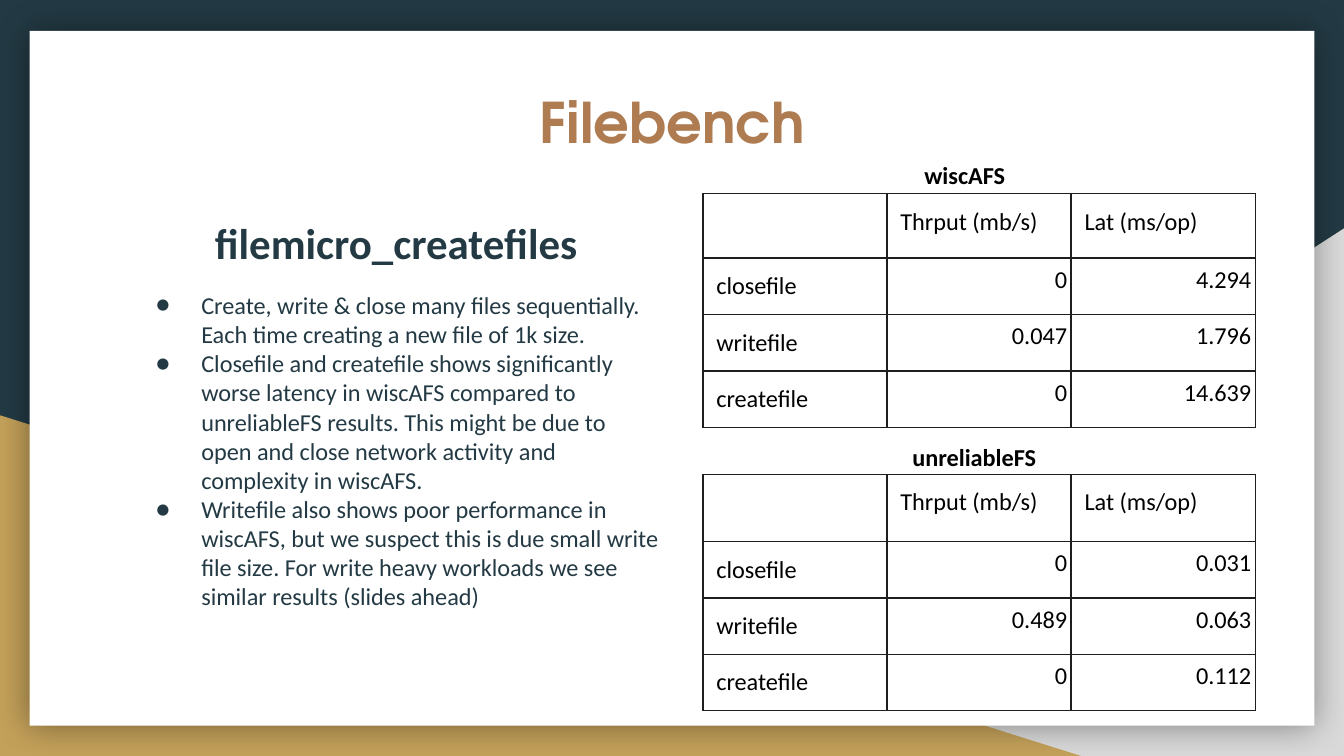
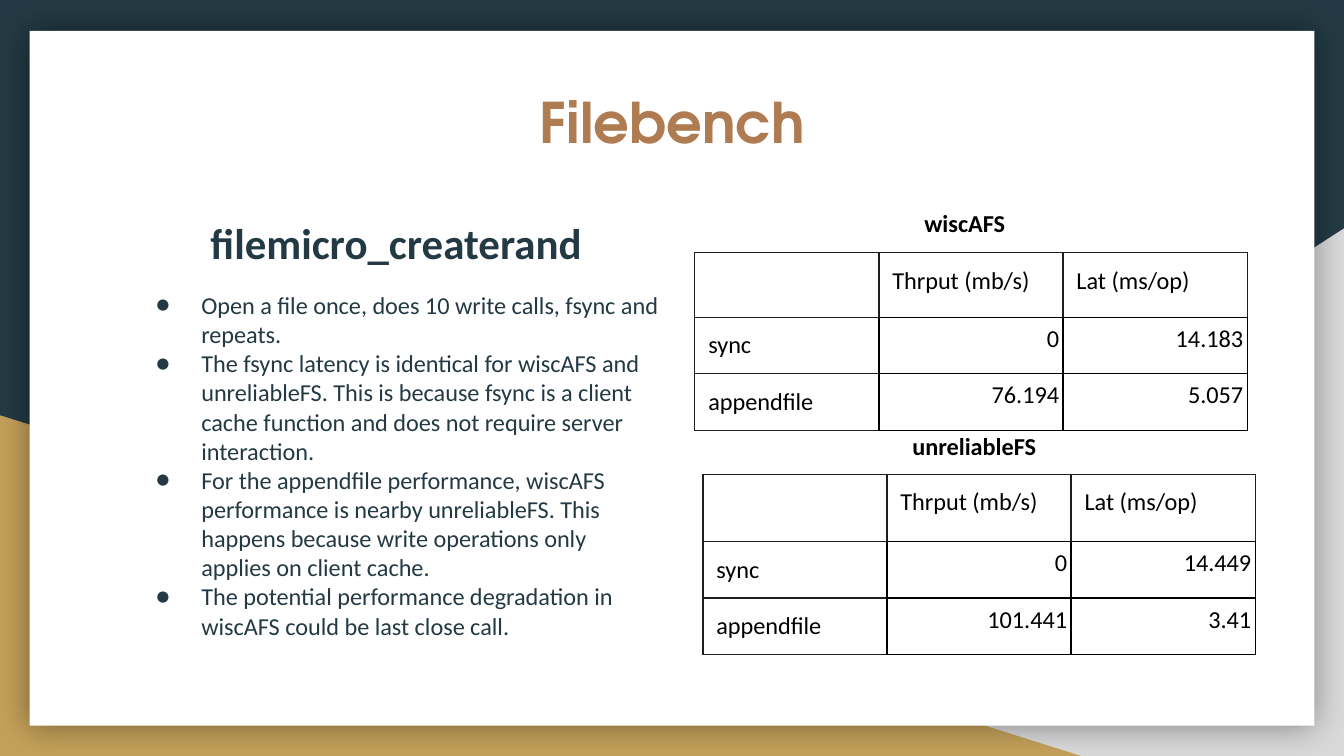
import lxml.etree
import pptx
import pptx.dml.color
import pptx.enum.shapes
import pptx.enum.text
import pptx.oxml.ns
import pptx.util

Inches = pptx.util.Inches
Pt = pptx.util.Pt
RGBColor = pptx.dml.color.RGBColor
PRESET = pptx.enum.shapes.MSO_SHAPE
ALIGN = pptx.enum.text.PP_ALIGN
ANCHOR = pptx.enum.text.MSO_ANCHOR
AUTO_SIZE = pptx.enum.text.MSO_AUTO_SIZE
qn = pptx.oxml.ns.qn

SLIDE_WIDTH = Inches(10)
SLIDE_HEIGHT = SLIDE_WIDTH * 9 // 16

NAVY = RGBColor(0x23, 0x3A, 0x44)
GOLD = RGBColor(0xC4, 0xA1, 0x5A)
SILVER = RGBColor(0xD9, 0xD9, 0xD9)
WHITE = RGBColor(0xFF, 0xFF, 0xFF)
COPPER = RGBColor(0xAF, 0x7B, 0x51)
BLACK = RGBColor(0, 0, 0)
CHARCOAL = RGBColor(0x1E, 0x1E, 0x1E)

TITLE_FONT = {"name": "TeX Gyre Adventor", "size": Pt(30), "bold": True}
HEADING_FONT = {"name": "Calibri", "size": Pt(23), "bold": True}
TEXT_FONT = {"name": "Calibri", "size": Pt(13), "bold": False}
CAPTION_FONT = {**TEXT_FONT, "bold": True}

MARGINS = ("margin_left", "margin_top", "margin_right", "margin_bottom")
WIDE_INSETS = dict.fromkeys(MARGINS, Inches(0.1))
TIGHT_INSETS = dict(zip(MARGINS, map(Inches, (0.03, 0.02, 0.03, 0.02))))
TITLE_FRAME = {
    **WIDE_INSETS,
    "word_wrap": True,
    "auto_size": AUTO_SIZE.NONE,
    "vertical_anchor": ANCHOR.TOP,
}
CAPTION_FRAME = {**TITLE_FRAME, "auto_size": AUTO_SIZE.SHAPE_TO_FIT_TEXT}

TITLE_BOX = (0.9, 0.55, 8.21, 0.77)
BODY_BOX = (0.9, 1.51, 4.1, 3.43)
COLUMN_WIDTH = 1.37
ROW_HEIGHT = 0.42
COLUMNS = ("", "Thrput (mb/s)", "Lat (ms/op)")

SLIDES = [
    {
        "heading": "filemicro_createfiles",
        "points": [
            "Create, write & close many files sequentially. Each time creating a new file of 1k size.",
            "Closefile and createfile shows significantly worse latency in wiscAFS compared to "
            "unreliableFS results. This might be due to open and close network activity and "
            "complexity in wiscAFS.",
            "Writefile also shows poor performance in wiscAFS, but we suspect this is due small "
            "write file size. For write heavy workloads we see similar results (slides ahead)",
        ],
        "number_line": CHARCOAL,
        "results": [
            {
                "caption": "wiscAFS",
                "caption_box": (6.78, 1.09, 0.89, 0.42),
                "origin": (5.23, 1.44),
                "header_height": 0.48,
                "rows": [
                    ("closefile", "0", "4.294"),
                    ("writefile", "0.047", "1.796"),
                    ("createfile", "0", "14.639"),
                ],
            },
            {
                "caption": "unreliableFS",
                "caption_box": (6.69, 3.19, 1.19, 0.42),
                "origin": (5.23, 3.53),
                "header_height": 0.5,
                "rows": [
                    ("closefile", "0", "0.031"),
                    ("writefile", "0.489", "0.063"),
                    ("createfile", "0", "0.112"),
                ],
            },
        ],
    },
    {
        "heading": "filemicro_createrand",
        "points": [
            "Open a file once, does 10 write calls, fsync and repeats.",
            "The fsync latency is identical for wiscAFS and unreliableFS. This is because fsync "
            "is a client cache function and does not require server interaction.",
            "For the appendfile performance, wiscAFS performance is nearby unreliableFS. This "
            "happens because write operations only applies on client cache.",
            "The potential performance degradation in wiscAFS could be last close call.",
        ],
        "number_line": BLACK,
        "results": [
            {
                "caption": "wiscAFS",
                "caption_box": (6.78, 1.45, 0.89, 0.42),
                "origin": (5.17, 1.88),
                "header_height": 0.48,
                "rows": [("sync", "0", "14.183"), ("appendfile", "76.194", "5.057")],
            },
            {
                "caption": "unreliableFS",
                "caption_box": (6.69, 3.11, 1.19, 0.42),
                "origin": (5.23, 3.53),
                "header_height": 0.5,
                "rows": [("sync", "0", "14.449"), ("appendfile", "101.441", "3.41")],
            },
        ],
    },
]


def apply_format(target, values):
    for name, value in values.items():
        setattr(target, name, value)


def add_text(paragraph, text, font, color):
    run = paragraph.add_run()
    run.text = text
    apply_format(run.font, font)
    run.font.color.rgb = color


def add_xml(parent, tag, **attributes):
    values = {name: str(value) for name, value in attributes.items()}
    return lxml.etree.SubElement(parent, qn(tag), values)


def add_panel(slide, preset, box, color):
    panel = slide.shapes.add_shape(preset, *map(Inches, box))
    panel.shadow.inherit = False
    panel.fill.solid()
    panel.fill.fore_color.rgb = color
    panel.line.fill.background()
    return panel


def build_backdrop(layout, slide):
    layout.background.fill.solid()
    layout.background.fill.fore_color.rgb = NAVY
    silver_corner = add_panel(slide, PRESET.RIGHT_TRIANGLE, (3.92, 1.7, 6.08, 3.93), SILVER)
    silver_corner.element.spPr.find(qn("a:xfrm")).set("flipH", "1")
    gold_corner = add_panel(slide, PRESET.RIGHT_TRIANGLE, (0, 3.09, 8.06, 2.54), GOLD)
    page = add_panel(slide, PRESET.RECTANGLE, (0.22, 0.23, 9.56, 5.17), WHITE)
    effects = page.element.spPr.find(qn("a:effectLst"))
    glow = add_xml(effects, "a:outerShdw", blurRad=Pt(18), dist=0, dir=0, algn="ctr", rotWithShape=0)
    add_xml(add_xml(glow, "a:srgbClr", val=BLACK), "a:alpha", val=40000)
    for index, panel in enumerate((silver_corner, gold_corner, page), start=2):
        layout.shapes.element.insert(index, panel.element)


def build_title(slide, box):
    title = slide.shapes.title
    apply_format(title, dict(zip(("left", "top", "width", "height"), map(Inches, box))))
    apply_format(title.text_frame, TITLE_FRAME)
    heading = title.text_frame.paragraphs[0]
    heading.alignment = ALIGN.CENTER
    add_text(heading, "Filebench", TITLE_FONT, COPPER)


def build_notes_column(slide, box, heading_text, points):
    frame = slide.shapes.add_textbox(*map(Inches, box)).text_frame
    apply_format(frame, TITLE_FRAME)
    heading = frame.paragraphs[0]
    heading.alignment = ALIGN.CENTER
    add_text(heading, heading_text, HEADING_FONT, NAVY)
    for index, text in enumerate(points):
        point = frame.add_paragraph()
        point.space_before = Pt(0 if index else 12)
        add_text(point, text, TEXT_FONT, NAVY)
        properties = point._p.get_or_add_pPr()
        properties.set("marL", str(Inches(0.5)))
        properties.set("indent", str(Inches(-0.34)))
        add_xml(add_xml(properties, "a:buClr"), "a:srgbClr", val=NAVY)
        add_xml(properties, "a:buSzPts", val=1300)
        add_xml(properties, "a:buFont", typeface=TEXT_FONT["name"])
        add_xml(properties, "a:buChar", char="●")


def set_borders(cell, colors):
    properties = cell._tc.get_or_add_tcPr()
    for index, (side, color) in enumerate(colors.items()):
        line = add_xml(properties, "a:ln" + side, w=Pt(0.75))
        add_xml(add_xml(line, "a:solidFill"), "a:srgbClr", val=color)
        properties.insert(index, line)


def fill_cell(cell, text, is_number):
    cell.fill.background()
    apply_format(cell, TIGHT_INSETS if is_number or not text else WIDE_INSETS)
    if text:
        entry = cell.text_frame.paragraphs[0]
        if is_number:
            apply_format(entry, {"alignment": ALIGN.RIGHT, "line_spacing": 1.15})
        add_text(entry, text, TEXT_FONT, BLACK)


def build_result(slide, result, number_line):
    rows = [COLUMNS, *result["rows"]]
    heights = [result["header_height"]] + [ROW_HEIGHT] * len(result["rows"])
    size = (COLUMN_WIDTH * len(COLUMNS), sum(heights))
    grid = slide.shapes.add_table(
        len(rows), len(COLUMNS), *map(Inches, (*result["origin"], *size))
    ).table
    apply_format(grid, {"first_row": False, "horz_banding": False})
    for column in grid.columns:
        column.width = Inches(COLUMN_WIDTH)
    for r, (row, height) in enumerate(zip(rows, heights)):
        grid.rows[r].height = Inches(height)
        for c, text in enumerate(row):
            is_number = r > 0 and c > 0
            fill_cell(grid.cell(r, c), text, is_number)
            borders = dict.fromkeys("LRTB", number_line if is_number else CHARCOAL)
            if r == 0 and c > 0:
                borders["B"] = number_line
            if c == 0 and r > 0:
                borders["R"] = number_line
            set_borders(grid.cell(r, c), borders)

    caption = slide.shapes.add_textbox(*map(Inches, result["caption_box"])).text_frame
    apply_format(caption, CAPTION_FRAME)
    add_text(caption.paragraphs[0], result["caption"], CAPTION_FONT, BLACK)


def build_slide(slide, content):
    build_title(slide, TITLE_BOX)
    build_notes_column(slide, BODY_BOX, content["heading"], content["points"])
    for result in content["results"]:
        build_result(slide, result, content["number_line"])


def main():
    deck = pptx.Presentation()
    apply_format(deck, {"slide_width": SLIDE_WIDTH, "slide_height": SLIDE_HEIGHT})
    layout = deck.slide_layouts[5]
    slides = [deck.slides.add_slide(layout) for _ in SLIDES]
    build_backdrop(layout, slides[0])
    for slide, content in zip(slides, SLIDES):
        build_slide(slide, content)
    deck.save("out.pptx")


if __name__ == "__main__":
    main()
